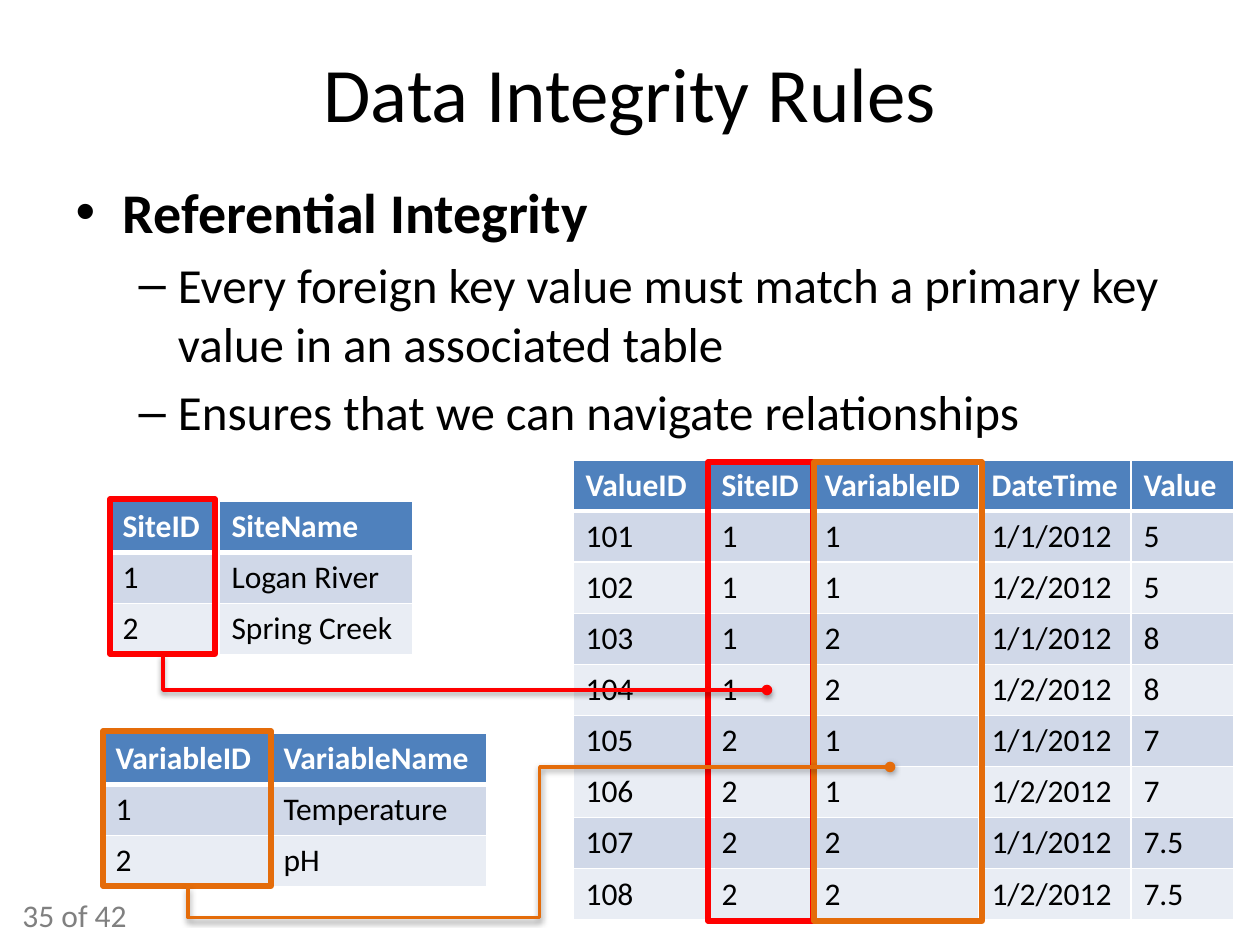
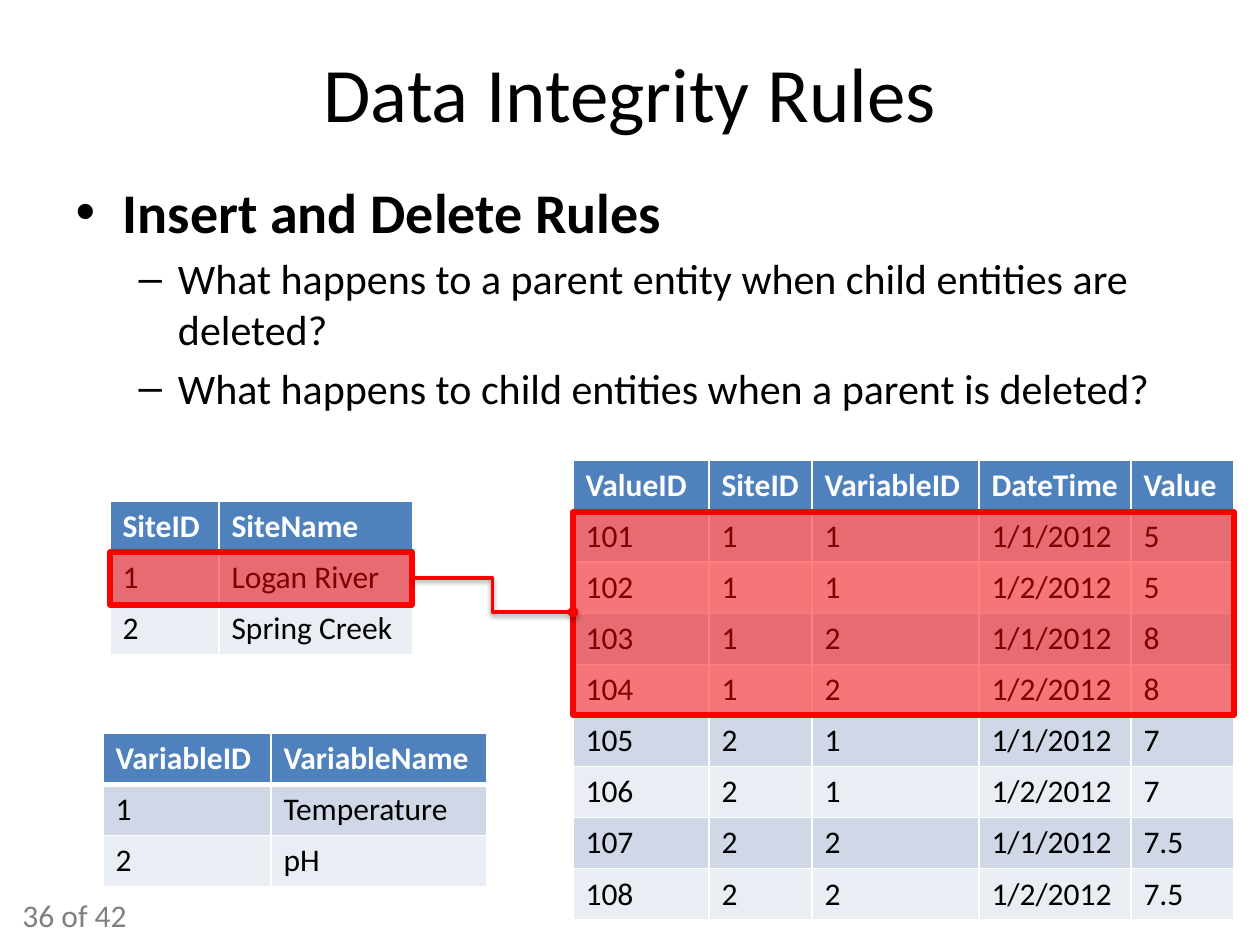
from lxml.etree import SubElement
from pptx import Presentation
from pptx.dml.color import RGBColor
from pptx.enum.shapes import MSO_CONNECTOR, MSO_SHAPE
from pptx.enum.text import MSO_ANCHOR, PP_ALIGN
from pptx.oxml.ns import qn
from pptx.util import Pt

PIXELS_PER_INCH = 126
COLORS = {
    "black": "000000", "white": "FFFFFF", "gray": "808080", "header": "4F81BD",
    "dark band": "D0D8E8", "light band": "E9EDF4", "red": "FF0000", "orange": "E46C0A",
}
TITLE = "Data Integrity Rules"
TITLE_FRAME = (63, 38, 1134, 108)
BODY_FRAME = (63, 171, 1134, 673)
PAGE_FRAME = (10, 890, 145, 50)
PAGE_COUNT = 42

TITLE_FONT = {"name": "Calibri", "size": Pt(44)}
TOPIC_FONT = {"name": "Calibri", "size": Pt(32), "bold": True}
POINT_FONT = {"name": "Calibri", "bold": False}
SMALL_FONT = {"name": "Calibri", "size": Pt(18), "bold": False}
HEADER_FONT = {**SMALL_FONT, "bold": True}

TABLES = [
    {
        "position": (573, 460), "widths": (136, 103, 167, 152, 103), "height": 460,
        "rows": [
            ("ValueID", "SiteID", "VariableID", "DateTime", "Value"),
            ("101", "1", "1", "1/1/2012", "5"),
            ("102", "1", "1", "1/2/2012", "5"),
            ("103", "1", "2", "1/1/2012", "8"),
            ("104", "1", "2", "1/2/2012", "8"),
            ("105", "2", "1", "1/1/2012", "7"),
            ("106", "2", "1", "1/2/2012", "7"),
            ("107", "2", "2", "1/1/2012", "7.5"),
            ("108", "2", "2", "1/2/2012", "7.5"),
        ],
    },
    {
        "position": (110, 501), "widths": (109, 194), "height": 154,
        "rows": [("SiteID", "SiteName"), ("1", "Logan River"), ("2", "Spring Creek")],
    },
    {
        "position": (103, 733), "widths": (168, 216), "height": 154,
        "rows": [("VariableID", "VariableName"), ("1", "Temperature"), ("2", "pH")],
    },
]

SLIDES = [
    {
        "page": 35,
        "topic": "Referential Integrity",
        "points": [
            "Every foreign key value must match a primary key value in an associated table",
            "Ensures that we can navigate relationships",
        ],
        "point size": 28,
        "highlights": [
            ((110, 499, 105, 155), "red", None),
            ((708, 462, 105, 459), "red", None),
            ((103, 731, 168, 155), "orange", None),
            ((814, 462, 168, 459), "orange", None),
        ],
        "links": [
            {"begin": (163, 655), "end": (767, 690), "color": "red", "preset": "bentConnector2",
             "turn": 270, "flips": ("flipH",), "bends": ()},
            {"begin": (188, 886), "end": (890, 767), "color": "orange", "preset": "bentConnector4",
             "turn": 90, "flips": ("flipH", "flipV"), "bends": (-26600, 50100)},
        ],
    },
    {
        "page": 36,
        "topic": "Insert and Delete Rules",
        "points": [
            "What happens to a parent entity when child entities are deleted?",
            "What happens to child entities when a parent is deleted?",
        ],
        "point size": 24,
        "highlights": [
            ((110, 552, 302, 53), "red", 50),
            ((573, 512, 661, 203), "red", 50),
        ],
        "links": [
            {"begin": (412, 578), "end": (573, 612), "color": "red", "preset": "bentConnector3",
             "turn": 0, "flips": (), "bends": (50000,)},
        ],
    },
]


def emu(pixels):
    return round(pixels * 914400 / PIXELS_PER_INCH)


def rgb(color):
    return RGBColor.from_string(COLORS[color])


def set_attributes(target, values):
    for name, value in values.items():
        setattr(target, name, value)


def place(shape, frame):
    set_attributes(shape, dict(zip(("left", "top", "width", "height"), map(emu, frame))))


def write(paragraph, text, font, color="black"):
    paragraph.text = text
    run_font = paragraph.runs[0].font
    set_attributes(run_font, font)
    run_font.color.rgb = rgb(color)


def add_color(parent, color, alpha=None):
    element = SubElement(parent, qn("a:srgbClr"), val=COLORS[color])
    if alpha is not None:
        SubElement(element, qn("a:alpha"), val=str(alpha * 1000))


def add_heading(slide):
    title = slide.shapes.title
    place(title, TITLE_FRAME)
    title.text_frame.vertical_anchor = MSO_ANCHOR.MIDDLE
    paragraph = title.text_frame.paragraphs[0]
    write(paragraph, TITLE, TITLE_FONT)
    paragraph.alignment = PP_ALIGN.CENTER


def add_points(slide, content):
    body = slide.placeholders[1]
    place(body, BODY_FRAME)
    topic = body.text_frame.paragraphs[0]
    write(topic, content["topic"], TOPIC_FONT)
    topic.space_before = Pt(0)
    for point in content["points"]:
        paragraph = body.text_frame.add_paragraph()
        paragraph.level = 1
        write(paragraph, point, {**POINT_FONT, "size": Pt(content["point size"])})


def add_page_number(slide, page):
    box = slide.shapes.add_textbox(*map(emu, PAGE_FRAME))
    box.text_frame.word_wrap = True
    write(box.text_frame.paragraphs[0], f"{page} of {PAGE_COUNT}", SMALL_FONT, "gray")


def add_borders(cell, row_index):
    points = {"lnL": 1, "lnR": 1, "lnT": 3 if row_index == 1 else 1, "lnB": 3 if row_index == 0 else 1}
    properties = cell._tc.get_or_add_tcPr()
    for side, width in points.items():
        line = SubElement(properties, qn(f"a:{side}"), w=str(Pt(width)))
        add_color(SubElement(line, qn("a:solidFill")), "white")


def add_data_table(slide, content):
    rows, widths = content["rows"], content["widths"]
    frame = (*content["position"], sum(widths), content["height"])
    table = slide.shapes.add_table(len(rows), len(widths), *map(emu, frame)).table
    for column, width in zip(table.columns, widths):
        column.width = emu(width)
    for row_index, values in enumerate(rows):
        is_header = row_index == 0
        band = "header" if is_header else "dark band" if row_index % 2 else "light band"
        for column_index, value in enumerate(values):
            cell = table.cell(row_index, column_index)
            add_borders(cell, row_index)
            cell.fill.solid()
            cell.fill.fore_color.rgb = rgb(band)
            write(cell.text_frame.paragraphs[0], value,
                  HEADER_FONT if is_header else SMALL_FONT, "white" if is_header else "black")


def add_highlight(slide, frame, color, alpha):
    shape = slide.shapes.add_shape(MSO_SHAPE.RECTANGLE, *map(emu, frame))
    shape.shadow.inherit = False
    shape.line.color.rgb = rgb(color)
    shape.line.width = Pt(3)
    if alpha is None:
        shape.fill.background()
    else:
        shape.fill.solid()
        shape.fill.fore_color.rgb = rgb(color)
        fill_color = shape._element.spPr.find(qn("a:solidFill"))[0]
        SubElement(fill_color, qn("a:alpha"), val=str(alpha * 1000))


def add_link(slide, link):
    (begin_x, begin_y), (end_x, end_y) = link["begin"], link["end"]
    width, height = abs(end_x - begin_x), abs(end_y - begin_y)
    if link["turn"] % 180:
        width, height = height, width
    left, top = (begin_x + end_x - width) / 2, (begin_y + end_y - height) / 2
    corners = (left, top, left + width, top + height)
    connector = slide.shapes.add_connector(MSO_CONNECTOR.ELBOW, *map(emu, corners))
    connector.line.color.rgb = rgb(link["color"])
    connector.line.width = Pt(2)

    properties = connector._element.spPr
    transform = properties.find(qn("a:xfrm"))
    transform.set("rot", str(link["turn"] * 60000))
    for flip in link["flips"]:
        transform.set(flip, "1")
    geometry = properties.find(qn("a:prstGeom"))
    geometry.set("prst", link["preset"])
    guides = geometry.find(qn("a:avLst"))
    for number, bend in enumerate(link["bends"], 1):
        SubElement(guides, qn("a:gd"), name=f"adj{number}", fmla=f"val {bend}")
    SubElement(properties.find(qn("a:ln")), qn("a:tailEnd"), type="oval")
    effects = SubElement(properties, qn("a:effectLst"))
    shadow = SubElement(effects, qn("a:outerShdw"), blurRad="40000", dist="20000",
                        dir="5400000", rotWithShape="0")
    add_color(shadow, "black", 38)


def build_slide(presentation, content):
    slide = presentation.slides.add_slide(presentation.slide_layouts[1])
    add_page_number(slide, content["page"])
    add_heading(slide)
    add_points(slide, content)
    for table in TABLES:
        add_data_table(slide, table)
    for highlight in content["highlights"]:
        add_highlight(slide, *highlight)
    for link in content["links"]:
        add_link(slide, link)


def main():
    """Build the two data integrity slides and save them."""
    presentation = Presentation()
    set_attributes(presentation, {"slide_width": emu(1260), "slide_height": emu(945)})
    for content in SLIDES:
        build_slide(presentation, content)
    presentation.save("out.pptx")


if __name__ == "__main__":
    main()
